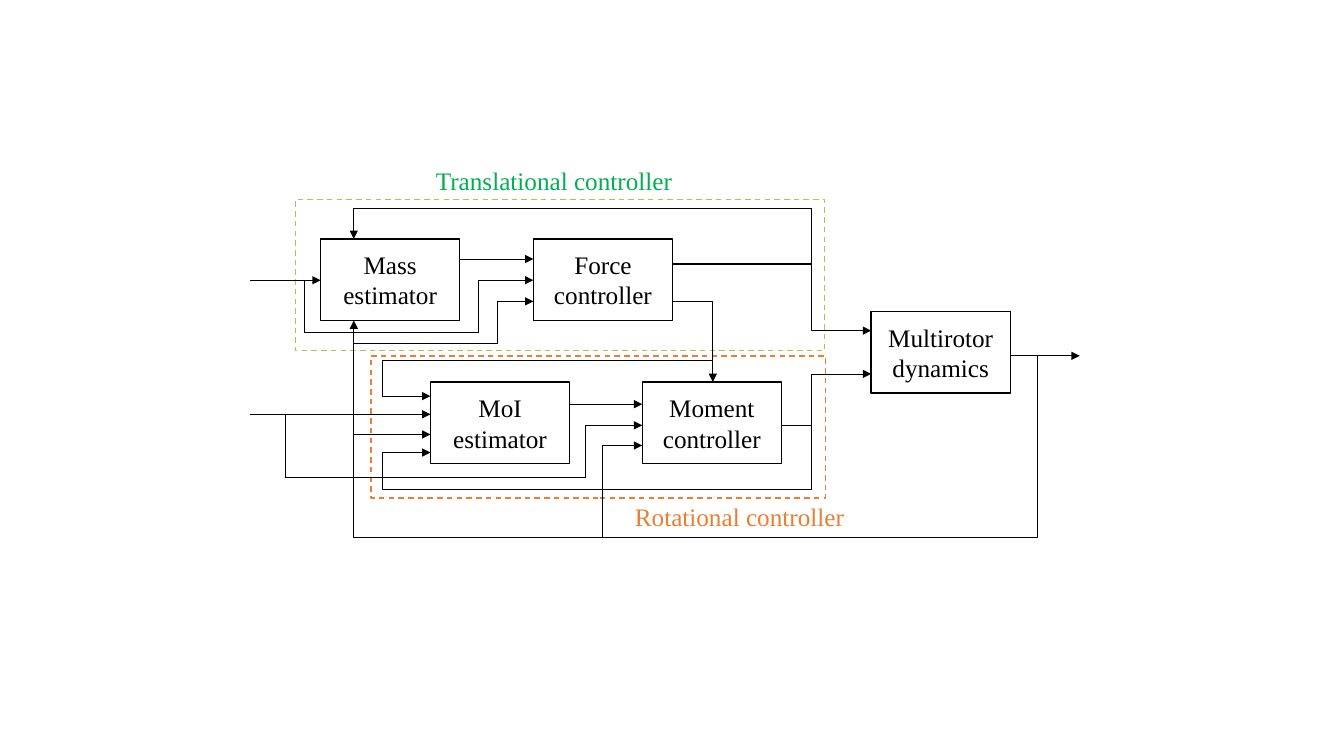
from pptx import Presentation
from pptx.util import Inches, Pt
from pptx.dml.color import RGBColor as RGB
from pptx.enum.dml import MSO_LINE as Dash
from pptx.enum.shapes import MSO_SHAPE as Shape, MSO_CONNECTOR as Link
from pptx.enum.text import PP_ALIGN as Align, MSO_ANCHOR as Anchor
from pptx.oxml.ns import qn
from lxml.etree import SubElement as Sub

COLORS = {"ink": "000000", "green": "00B050", "lime": "92D050", "orange": "ED7D31"}
FONT = "Times New Roman"
SIZE = 18
BOX_W, BOX_H = 1.38, 0.81
THIN, THICK = 0.5, 1

# Shared rows and columns of the diagram
TOP, LOW, MID = 2.37, 3.79, 3.09
STATE_X, STATE_Y = 3.51, 5.33   # feedback of the measured state
OUT_X = 8.05                    # controller outputs
LOOP_X, LOOP_Y = 3.79, 4.86     # moment feedback
POS_X, POS_Y = 3.02, 3.3        # position reference branch
ATT_X, ATT_Y = 2.83, 4.74       # attitude reference branch
FORCE_X = 7.07                  # force command to the moment controller

BOXES = [
    ("Mass\nestimator", 3.18, TOP),
    ("MoI\nestimator", 4.27, LOW),
    ("Force\ncontroller", 5.29, TOP),
    ("Moment\ncontroller", 6.37, LOW),
    ("Multirotor\ndynamics", 8.64, MID),
]
FRAMES = [(2.93, 1.98, 5.25, 1.5, "lime"), (3.68, 3.53, 4.51, 1.41, "orange")]
LABELS = [
    ("Translational controller", 4.13, 1.59, "green"),
    ("Rotational controller", 5.97, 4.92, "orange"),
]
# Straight arrows: x from, x to, y
ARROWS = [
    (2.48, 3.18, 2.78),
    (4.56, 5.29, 2.57),
    (5.65, 6.37, 4.01),
    (2.48, 4.27, 4.11),
    (STATE_X, 4.27, 4.31),
    (10.02, 10.71, 3.53),
]
BARS = [(7.76, OUT_X, 4.22), (6.67, OUT_X, 2.62)]
# Bent lines: x from, y from, x to, y to, x of the vertical run
BENT_ARROWS = [
    (6.67, 2.99, FORCE_X, LOW, FORCE_X),
    (POS_X, POS_Y, 5.29, 2.78, 4.75),
    (STATE_X, 3.41, 5.29, 2.99, 4.93),
    (10.29, STATE_Y, STATE_X, 3.18, STATE_X),
    (OUT_X, 2.07, STATE_X, TOP, STATE_X),
    (OUT_X, 2.07, 8.64, 3.28, OUT_X),
    (OUT_X, LOOP_Y, 8.64, 3.71, OUT_X),
    (OUT_X, LOOP_Y, 4.27, 4.49, LOOP_X),
    (5.97, STATE_Y, 6.37, 4.42, 5.97),
    (ATT_X, ATT_Y, 6.37, 4.22, 5.81),
    (FORCE_X, 3.58, 4.27, 3.93, LOOP_X),
]
BENT_BARS = [
    (10.29, 3.53, STATE_X, STATE_Y, 10.29),
    (4.75, POS_Y, POS_X, 2.78, POS_X),
    (ATT_X, 4.11, 5.81, ATT_Y, ATT_X),
]


def color(name):
    return RGB.from_string(COLORS[name])


class Diagram:
    def __init__(self, slide):
        self.shapes = slide.shapes

    def letter(self, shape, text, tint):
        """Set the text of a shape, centred and in the slide's font."""
        frame = shape.text_frame
        frame.word_wrap = True
        frame.text = text
        for para in frame.paragraphs:
            para.alignment = Align.CENTER
            for run in para.runs:
                run.font.name = FONT
                run.font.size = Pt(SIZE)
                run.font.color.rgb = color(tint)

    def rect(self, x, y, w, h, tint):
        shape = self.shapes.add_shape(
            Shape.RECTANGLE, Inches(x), Inches(y), Inches(w), Inches(h))
        shape.shadow.inherit = False
        shape.fill.background()
        shape.line.color.rgb = color(tint)
        shape.line.width = Pt(THICK)
        return shape

    def box(self, text, x, y):
        shape = self.rect(x, y, BOX_W, BOX_H, "ink")
        self.letter(shape, text, "ink")
        shape.text_frame.vertical_anchor = Anchor.MIDDLE

    def frame(self, x, y, w, h, tint):
        self.rect(x, y, w, h, tint).line.dash_style = Dash.DASH

    def label(self, text, x, y, tint):
        shape = self.shapes.add_textbox(
            Inches(x), Inches(y), Inches(2.73), Inches(0.4))
        self.letter(shape, text, tint)

    def link(self, kind, x1, y1, x2, y2, arrow):
        line = self.shapes.add_connector(
            kind, Inches(x1), Inches(y1), Inches(x2), Inches(y2))
        line.line.color.rgb = color("ink")
        line.line.width = Pt(THIN if arrow else THICK)
        props = line._element.spPr
        if arrow:
            Sub(props.find(qn("a:ln")), qn("a:tailEnd"), type="triangle")
        Sub(props, qn("a:effectLst"))
        return props

    def line(self, x1, x2, y, arrow):
        self.link(Link.STRAIGHT, x1, y, x2, y, arrow)

    def bend(self, x1, y1, x2, y2, turn, arrow):
        """Draw an elbow whose vertical run lies at x = turn."""
        props = self.link(Link.ELBOW, x1, y1, x2, y2, arrow)
        ratio = round((turn - x1) / (x2 - x1) * 100000)
        guides = props.find(qn("a:prstGeom")).get_or_add_avLst()
        Sub(guides, qn("a:gd"), name="adj1", fmla=f"val {ratio}")


def main():
    deck = Presentation()
    deck.slide_width, deck.slide_height = Inches(13.33), Inches(7.5)
    chart = Diagram(deck.slides.add_slide(deck.slide_layouts[6]))
    for item in BOXES:
        chart.box(*item)
    for item in FRAMES:
        chart.frame(*item)
    for item in LABELS:
        chart.label(*item)
    for arrow, lines, bends in ((True, ARROWS, BENT_ARROWS), (False, BARS, BENT_BARS)):
        for item in lines:
            chart.line(*item, arrow)
        for item in bends:
            chart.bend(*item, arrow)
    deck.save("out.pptx")


if __name__ == "__main__":
    main()
